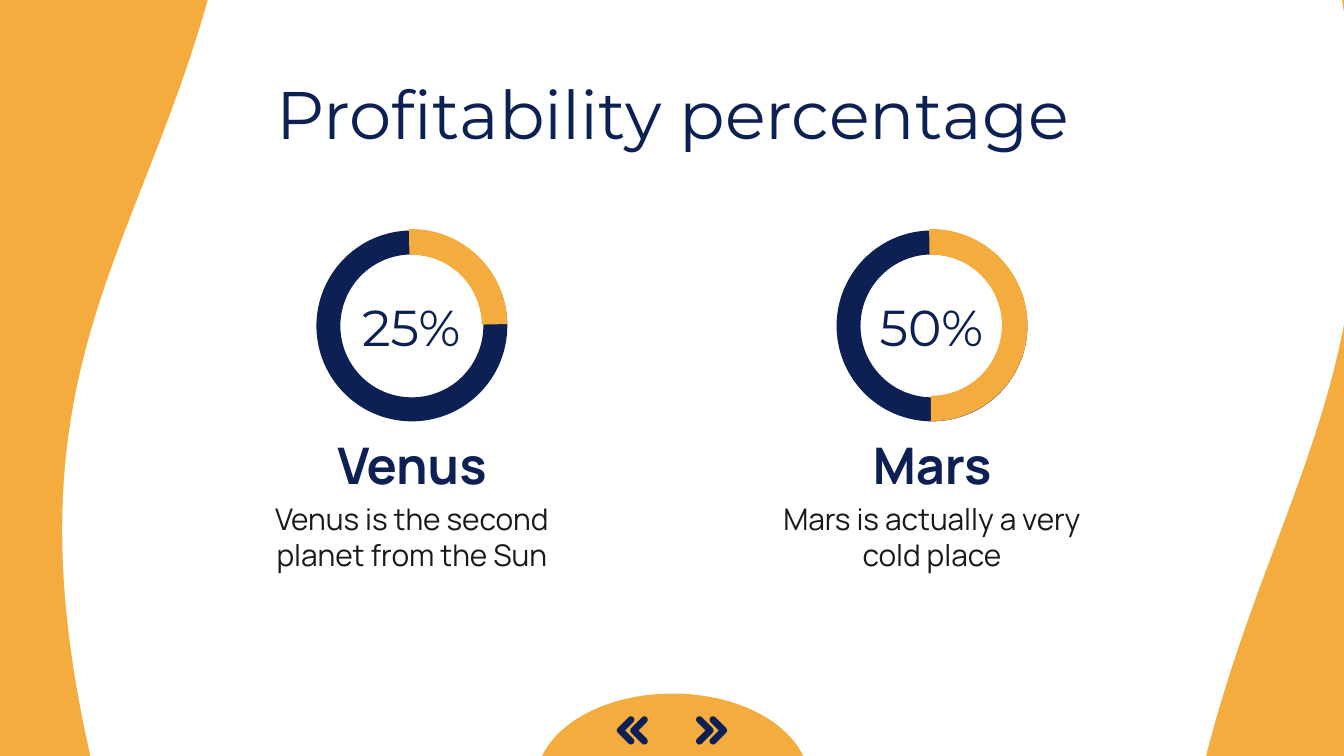
from math import cos, radians, sin, sqrt

from lxml.etree import SubElement
from pptx import Presentation
from pptx.dml.color import RGBColor
from pptx.enum.shapes import MSO_SHAPE
from pptx.enum.text import MSO_ANCHOR, MSO_AUTO_SIZE, PP_ALIGN
from pptx.oxml.ns import qn
from pptx.util import Inches, Pt

COLORS = {"orange": "F3AC3D", "navy": "0C2054", "white": "FFFFFF", "text": "191919"}
WIDTH = 10
HEIGHT = WIDTH * 9 / 16
RING_LEFT, COLUMN_LEFT = 2.35, 1.76
COLUMN_STEP = 3.87

FORMATS = {
    "title": {"size": Pt(36), "name": "Montserrat", "bold": False},
    "percent": {"size": Pt(27), "name": "Montserrat", "bold": False},
    "heading": {"size": Pt(27), "name": "Manrope", "bold": True},
    "description": {"size": Pt(16), "name": "Manrope", "bold": False},
}

# percentage, block arc start, planet, description
PLANETS = [
    ("25%", 108.64, "Venus", "Venus is the second planet from the Sun"),
    ("50%", 54.03, "Mars", "Mars is actually a very cold place"),
]


def color(name):
    return RGBColor.from_string(COLORS[name])


def paint(shape, fill, line=None):
    shape.shadow.inherit = False
    shape.fill.solid()
    shape.fill.fore_color.rgb = color(fill)
    if line:
        shape.line.color.rgb = color(line)
        shape.line.width = Pt(0.75)
    else:
        shape.line.fill.background()


def add_preset(page, kind, at, fill, line=None, rotation=0, adjustments=()):
    """Add a horizontally flipped preset shape."""
    shape = page.shapes.add_shape(kind, *map(Inches, at))
    shape._element.spPr.xfrm.set("flipH", "1")
    shape.rotation = rotation
    for index, value in enumerate(adjustments):
        shape.adjustments[index] = value
    paint(shape, fill, line)


def write_text(page, box, at, text, style, fill="navy"):
    """Place a text box or placeholder on top and give it one centred paragraph."""
    page.shapes._spTree.append(box._element)
    box.left, box.top, box.width, box.height = map(Inches, at)
    frame = box.text_frame
    frame_format = {
        "word_wrap": True,
        "auto_size": MSO_AUTO_SIZE.NONE,
        "vertical_anchor": MSO_ANCHOR.MIDDLE,
    }
    for side in ("left", "top", "right", "bottom"):
        frame_format[f"margin_{side}"] = Inches(0.1)
    for name, value in frame_format.items():
        setattr(frame, name, value)

    para = frame.paragraphs[0]
    properties = para._p.get_or_add_pPr()
    properties.set("marL", "0")
    properties.set("indent", "0")
    SubElement(properties, qn("a:buNone"))
    para.alignment = PP_ALIGN.CENTER
    para.space_before = Pt(0)
    para.line_spacing = 1.0
    span = para.add_run()
    span.text = text
    for name, value in FORMATS[style].items():
        setattr(span.font, name, value)
    span.font.color.rgb = color(fill)


def add_waves(page):
    wave = MSO_SHAPE.FLOWCHART_DOCUMENT
    add_preset(page, wave, (1.45, -0.38, 9.67, 7.84), "white", rotation=270)
    add_preset(page, wave, (-0.32, -2.02, 9.1, 7.73), "white", rotation=90)


def add_ring(page, left, arc_start):
    add_preset(page, MSO_SHAPE.DONUT, (left + 0.01, 1.72, 1.41, 1.41),
               "navy", "navy", adjustments=(0.119,))
    add_preset(page, MSO_SHAPE.BLOCK_ARC, (left, 1.71, 1.42, 1.42),
               "orange", "orange", adjustments=(arc_start, 162.567, 0.127))


def add_planet(page, column, planet, heading_box, description_box):
    percent, arc_start, name, description = planet
    shift = column * COLUMN_STEP
    ring_left, left = RING_LEFT + shift, COLUMN_LEFT + shift
    add_ring(page, ring_left, arc_start)
    percent_at = (ring_left, 2.14, 1.42, 0.57)
    percent_box = page.shapes.add_textbox(*map(Inches, percent_at))
    write_text(page, percent_box, percent_at, percent, "percent")
    write_text(page, heading_box, (left, 3.13, 2.61, 0.65), name, "heading")
    write_text(page, description_box, (left, 3.67, 2.61, 0.65),
               description, "description", "text")


def arc_points(x, y, radius, start, end):
    return [(x + radius * cos(radians(angle)), y + radius * sin(radians(angle)))
            for angle in range(start, end + 1, 15)]


def add_chevron(shapes, offset, direction):
    """Add a rounded chevron, offset from the slide centre towards direction."""
    radius, reach = 0.025, 0.08
    middle = radius + reach
    outline = (
        arc_points(radius, radius, radius, 135, 315)
        + arc_points(middle, middle, radius, 315, 405)
        + arc_points(radius, radius + 2 * reach, radius, 45, 225)
        + [(middle - radius * sqrt(2), middle)]
    )
    points = [(Inches(WIDTH / 2 + direction * (offset + x)), Inches(5.33 + y))
              for x, y in outline]
    builder = shapes.build_freeform(*points[0])
    builder.add_line_segments(points[1:], close=True)
    paint(builder.convert_to_shape(), "navy")


def add_navigation(page):
    add_preset(page, MSO_SHAPE.PIE, (3.99, 5.16, 2.03, 1.31), "orange",
               rotation=180, adjustments=(0, 108.312))
    for direction in (1, -1):
        group = page.shapes.add_group_shape()
        for offset in (0.18, 0.28):
            add_chevron(group.shapes, offset, direction)


def main():
    deck = Presentation()
    deck.slide_width, deck.slide_height = Inches(WIDTH), Inches(HEIGHT)
    page = deck.slides.add_slide(deck.slide_layouts.get_by_name("Comparison"))
    page.background.fill.solid()
    page.background.fill.fore_color.rgb = color("orange")
    title, *bodies = page.placeholders
    add_waves(page)
    write_text(page, title, (0.8, 0.58, 8.41, 0.51),
               "Profitability percentage", "title")
    for column, planet in enumerate(PLANETS):
        add_planet(page, column, planet, *bodies[2 * column:2 * column + 2])
    add_navigation(page)
    deck.save("out.pptx")


if __name__ == "__main__":
    main()
